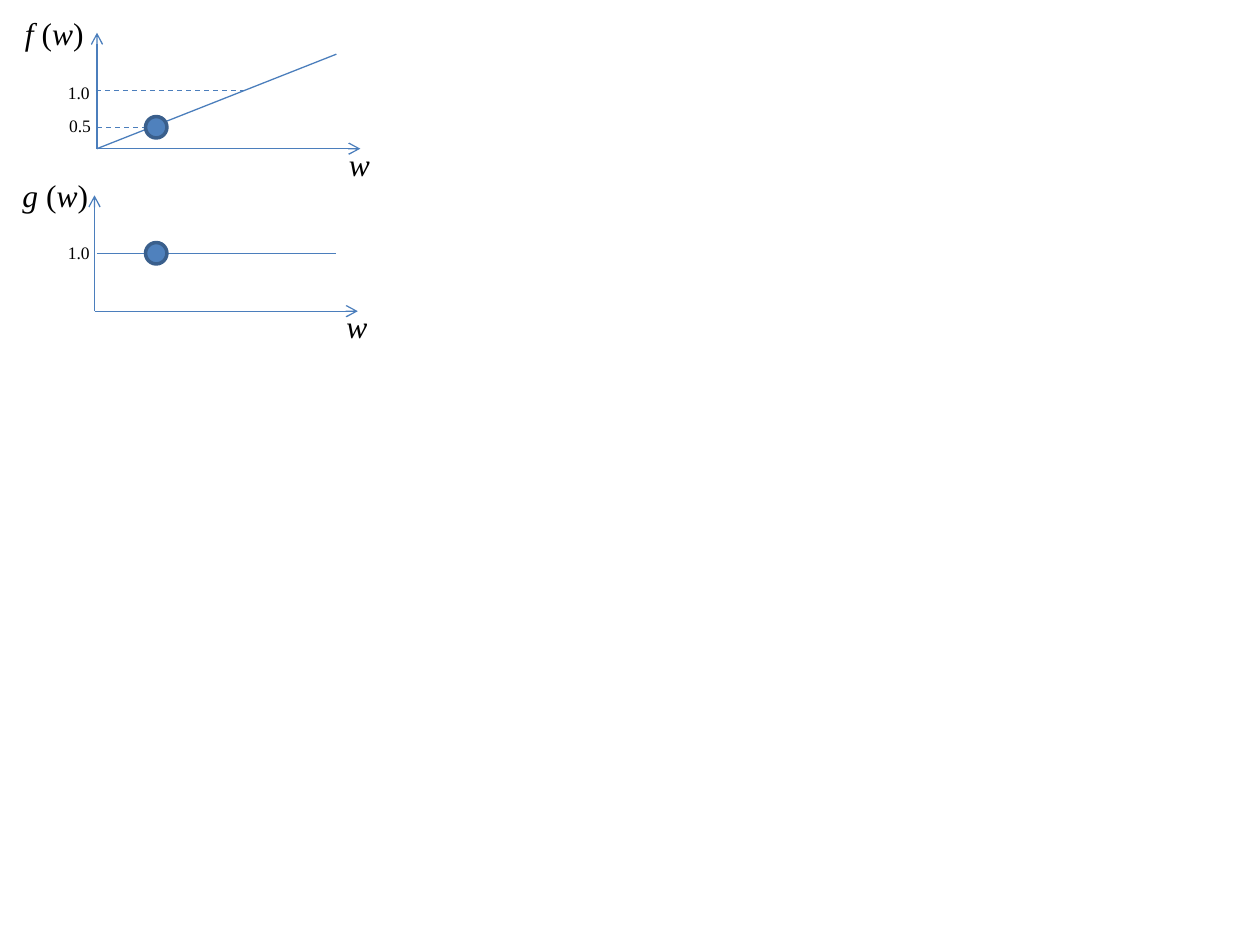
from lxml.etree import SubElement
from pptx import Presentation
from pptx.dml.color import RGBColor
from pptx.enum.dml import MSO_LINE
from pptx.enum.shapes import MSO_CONNECTOR, MSO_SHAPE
from pptx.enum.text import MSO_AUTO_SIZE
from pptx.oxml.ns import qn
from pptx.util import Inches, Pt

LINE = RGBColor(0x4B, 0x7E, 0xBC)
DOT = RGBColor(0x4F, 0x81, 0xBD)
DOT_EDGE = RGBColor(0x3A, 0x5F, 0x8C)
BLACK = RGBColor(0, 0, 0)
FONT = "Times New Roman"
AXIS_W, AXIS_H = 2.09, 0.92
DOT_SIZE = 0.17


def add_line(s, start, end, arrow=False, dash=False):
    ends = [Inches(v) for v in (*start, *end)]
    c = s.shapes.add_connector(MSO_CONNECTOR.STRAIGHT, *ends)
    c.line.color.rgb = LINE
    c.line.width = Pt(0.75)
    if dash:
        c.line.dash_style = MSO_LINE.DASH
    if arrow:
        SubElement(c.line._get_or_add_ln(), qn("a:tailEnd"), type="arrow")
    SubElement(c._element.spPr, qn("a:effectLst"))


def add_label(s, x, y, w, h, size, runs):
    """Place a one-line label; runs holds (text, italic) pairs."""
    tb = s.shapes.add_textbox(Inches(x), Inches(y), Inches(w), Inches(h))
    tf = tb.text_frame
    tf.word_wrap = False
    tf.auto_size = MSO_AUTO_SIZE.SHAPE_TO_FIT_TEXT
    for text, italic in runs:
        r = tf.paragraphs[0].add_run()
        r.text = text
        r.font.name = FONT
        r.font.size = Pt(size)
        r.font.italic = italic
        r.font.color.rgb = BLACK


def add_dot(s, cx, cy):
    sp = s.shapes.add_shape(MSO_SHAPE.OVAL, Inches(cx - DOT_SIZE / 2), Inches(cy - DOT_SIZE / 2),
                            Inches(DOT_SIZE), Inches(DOT_SIZE))
    sp.shadow.inherit = False
    sp.fill.solid()
    sp.fill.fore_color.rgb = DOT
    sp.line.color.rgb = DOT_EDGE
    sp.line.width = Pt(2)


def add_plot(s, left, top, name, name_w, curve, dot, ticks, guides=()):
    """Draw one function plot; all points are offsets from the box's top left."""
    def at(point):
        return left + point[0], top + point[1]

    # Axes
    origin = at((0, AXIS_H))
    add_line(s, origin, at((AXIS_W, AXIS_H)), arrow=True)
    add_line(s, origin, at((0, 0)), arrow=True)

    # Curve, dashed guides and marked point
    add_line(s, at(curve[0]), at(curve[1]))
    for start, end in guides:
        add_line(s, at(start), at(end), dash=True)
    add_dot(s, *at(dot))

    # Axis names and tick values
    add_label(s, *at((-0.67, -0.2)), name_w, 0.4, 18,
              [(name + " ", True), ("(", False), ("w", True), (")", False)])
    add_label(s, *at((1.9, AXIS_H - 0.08)), 0.37, 0.4, 18, [("w", True)])
    for text, x, y in ticks:
        add_label(s, *at((x, y)), 0.38, 0.27, 10, [(text, False)])


def main():
    prs = Presentation()
    prs.slide_width, prs.slide_height = Inches(10), Inches(7.5)
    s = prs.slides.add_slide(prs.slide_layouts[6])

    # Linear function
    add_plot(s, 0.77, 0.26, "f", 0.67,
             curve=((0, AXIS_H), (1.9, 0.17)), dot=(0.47, 0.75),
             ticks=[("0.5", -0.32, 0.6), ("1.0", -0.33, 0.34)],
             guides=[((0, 0.75), (0.38, 0.75)), ((-0.01, 0.46), (1.17, 0.46))])

    # Constant function
    add_plot(s, 0.75, 1.55, "g", 0.73,
             curve=((0.02, 0.46), (1.92, 0.46)), dot=(0.49, 0.46),
             ticks=[("1.0", -0.31, 0.32)])

    prs.save("out.pptx")


if __name__ == "__main__":
    main()
